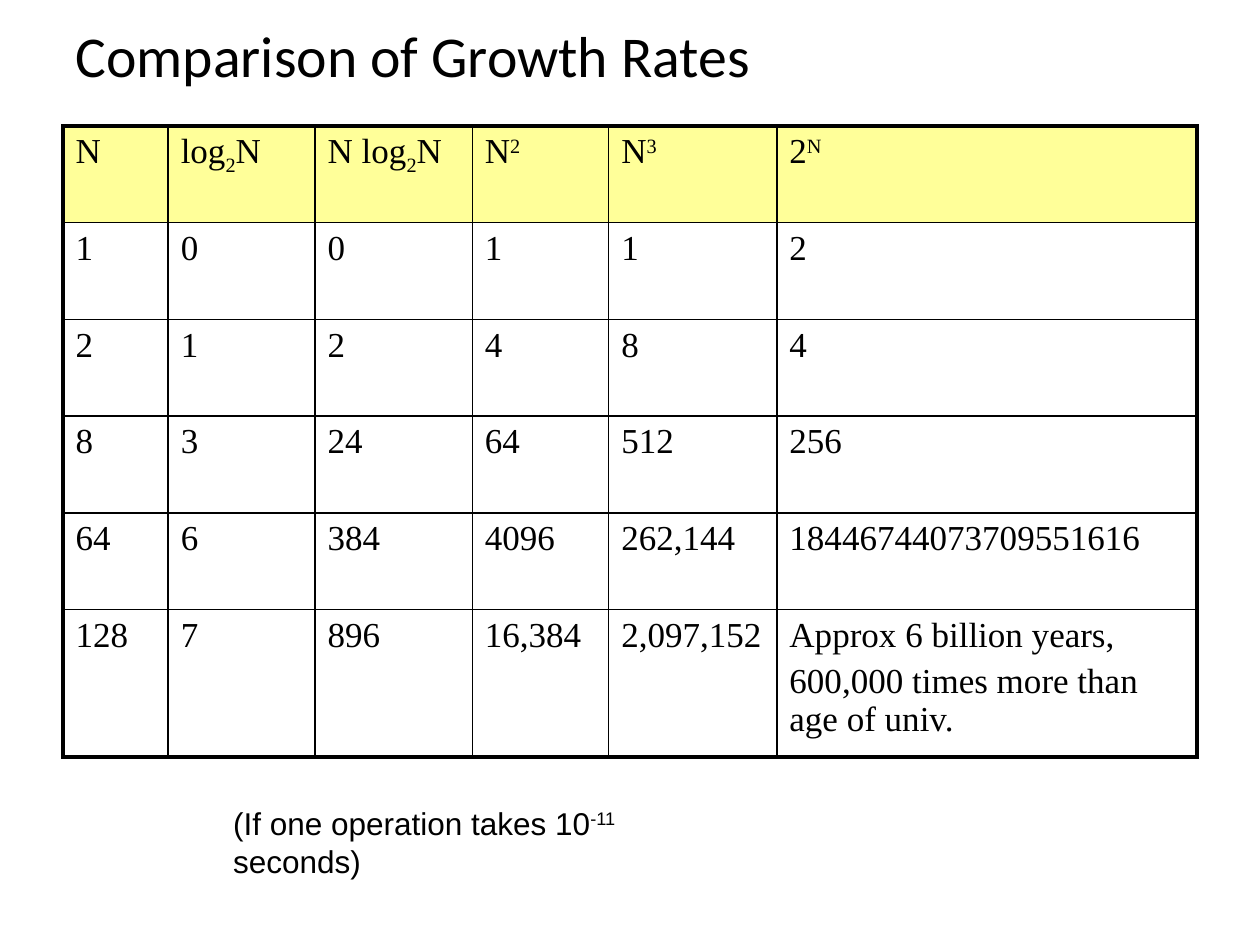
from lxml.etree import SubElement
from pptx import Presentation
from pptx.dml.color import RGBColor
from pptx.enum.text import MSO_ANCHOR, MSO_AUTO_SIZE, PP_ALIGN
from pptx.oxml.ns import qn
from pptx.util import Cm, Pt

BLACK = "000000"
HEADER_YELLOW = "FFFF99"
SUB, SUPER = -25, 30  # baseline shift in percent

COLUMN_WIDTHS = [2.12, 2.96, 3.17, 2.75, 3.39, 8.47]
ROW_HEIGHTS = [1.95] * 5 + [2.97]

# A cell is a list of paragraphs; a paragraph is a list of (text, baseline) runs
HEADINGS = [
    [("N", 0)],
    [("log", 0), ("2", SUB), ("N", 0)],
    [("N log", 0), ("2", SUB), ("N", 0)],
    [("N", 0), ("2", SUPER)],
    [("N", 0), ("3", SUPER)],
    [("2", 0), ("N", SUPER)],
]
GROWTH_VALUES = [
    ["1", "0", "0", "1", "1", "2"],
    ["2", "1", "2", "4", "8", "4"],
    ["8", "3", "24", "64", "512", "256"],
    ["64", "6", "384", "4096", "262,144", "18446744073709551616"],
    ["128", "7", "896", "16,384", "2,097,152",
     "Approx 6 billion years,\n600,000 times more than age of univ."],
]


def color(hex_string):
    return RGBColor.from_string(hex_string)


def add_runs(paragraph, runs, font_name, size):
    for text, baseline in runs:
        run = paragraph.add_run()
        run.text = text
        run.font.name = font_name
        run.font.size = Pt(size)
        run.font.color.rgb = color(BLACK)
        if baseline:
            run.font._element.set("baseline", str(baseline * 1000))


def set_borders(cell, widths):
    """Draw the cell's sides; widths maps L, R, T, B to points."""
    properties = cell._tc.get_or_add_tcPr()
    for side, width in widths.items():
        line = SubElement(properties, qn(f"a:ln{side}"), w=str(Pt(width)))
        fill = SubElement(line, qn("a:solidFill"))
        SubElement(fill, qn("a:srgbClr"), val=BLACK)


def place_title(slide, left, top, width, height):
    title = slide.shapes.title
    title.left, title.top, title.width, title.height = left, top, width, height
    frame = title.text_frame
    frame.word_wrap = True
    frame.vertical_anchor = MSO_ANCHOR.MIDDLE
    paragraph = frame.paragraphs[0]
    paragraph.alignment = PP_ALIGN.LEFT
    paragraph.line_spacing = 0.9
    add_runs(paragraph, [("Comparison of Growth Rates", 0)], "Calibri", 33)


def add_growth_table(slide, left, top, width, height):
    rows = [[[heading] for heading in HEADINGS]]
    rows += [[[[(line, 0)] for line in value.split("\n")] for value in values]
             for values in GROWTH_VALUES]
    last_row, last_column = len(rows) - 1, len(HEADINGS) - 1

    table = slide.shapes.add_table(
        len(rows), len(HEADINGS), left, top, width, height).table
    table.first_row = table.horz_banding = False
    for column, column_width in zip(table.columns, COLUMN_WIDTHS):
        column.width = Cm(column_width)
    for row, row_height in zip(table.rows, ROW_HEIGHTS):
        row.height = Cm(row_height)

    for r, row in enumerate(rows):
        for c, paragraphs in enumerate(row):
            cell = table.cell(r, c)
            # Thick frame around the table, thin rules inside
            outer = {"L": c == 0, "R": c == last_column,
                     "T": r == 0, "B": r == last_row}
            set_borders(cell, {side: 2.25 if edge else 1
                               for side, edge in outer.items()})
            if r == 0:
                cell.fill.solid()
                cell.fill.fore_color.rgb = color(HEADER_YELLOW)
            else:
                cell.fill.background()
            frame = cell.text_frame
            for i, runs in enumerate(paragraphs):
                paragraph = frame.add_paragraph() if i else frame.paragraphs[0]
                if i:
                    paragraph.space_before = Pt(4)
                add_runs(paragraph, runs, "Times New Roman", 20)


def add_assumption(slide, left, top, width, height):
    frame = slide.shapes.add_textbox(left, top, width, height).text_frame
    frame.word_wrap = True
    frame.auto_size = MSO_AUTO_SIZE.SHAPE_TO_FIT_TEXT
    runs = [("(If one operation takes 10", 0), ("-11", SUPER), (" seconds)", 0)]
    add_runs(frame.paragraphs[0], runs, "Arial", 18)


def main():
    presentation = Presentation()
    presentation.slide_width, presentation.slide_height = Cm(25.4), Cm(19.05)
    slide = presentation.slides.add_slide(presentation.slide_layouts[5])

    place_title(slide, Cm(1.27), Cm(0.2), Cm(22.86), Cm(1.98))
    add_growth_table(slide, Cm(1.27), Cm(2.54),
                     Cm(sum(COLUMN_WIDTHS)), Cm(sum(ROW_HEIGHTS)))
    add_assumption(slide, Cm(4.45), Cm(16.08), Cm(9.98), Cm(1.02))

    presentation.save("out.pptx")


if __name__ == "__main__":
    main()
